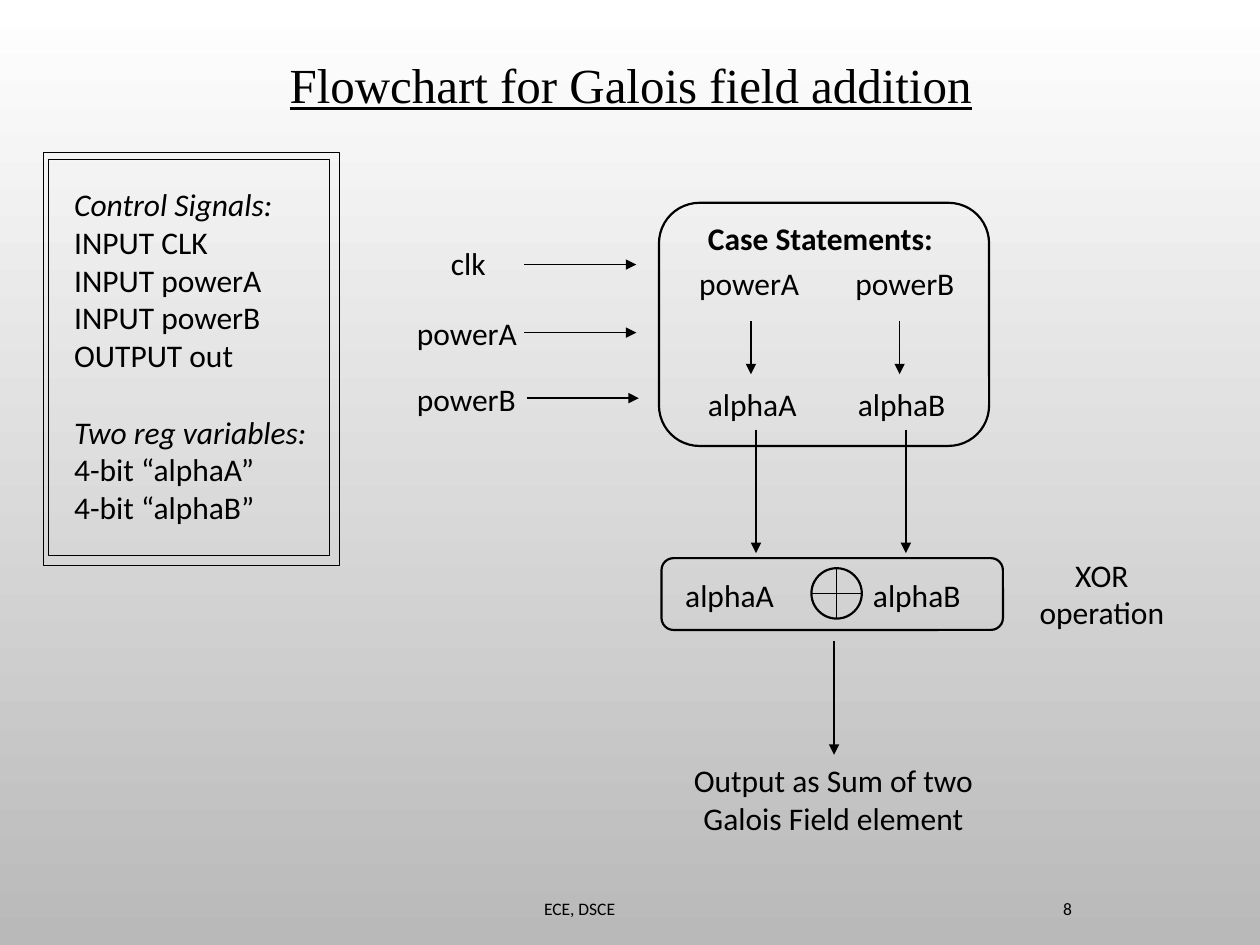
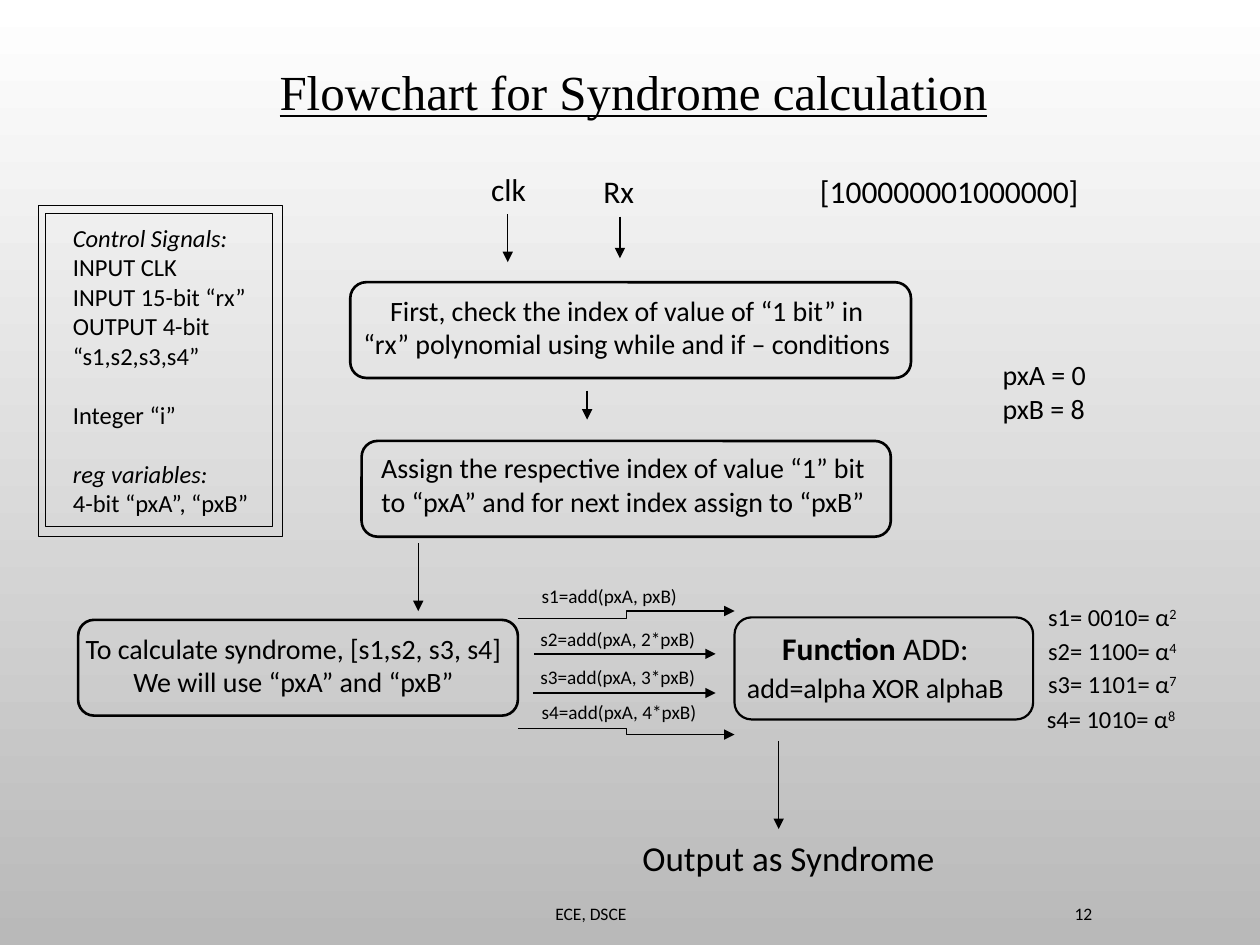
from lxml.etree import SubElement
from pptx import Presentation
from pptx.dml.color import RGBColor
from pptx.enum.shapes import MSO_CONNECTOR as Connector, MSO_SHAPE as Shape
from pptx.enum.text import MSO_ANCHOR as Anchor, MSO_AUTO_SIZE as AutoSize, PP_ALIGN as Align
from pptx.oxml.ns import qn
from pptx.util import Inches, Pt

COLORS = {"ink": "000000", "top": "FFFFFF", "bottom": "B9B9B9"}
BODY_FONT, TITLE_FONT = "Calibri", "Times New Roman"
LINE_HEIGHT = 1.22


def color(name):
    return RGBColor.from_string(COLORS[name])


class FlowchartDeck:
    """Holds the shared style and the slide being drawn."""

    def __init__(self):
        self.presentation = Presentation()
        self.presentation.slide_width = Inches(10)
        self.presentation.slide_height = Inches(7.5)
        self.slide = None

    def new_slide(self, title, title_box, number, footer_left, footer_top):
        self.slide = self.presentation.slides.add_slide(self.presentation.slide_layouts[6])
        fill = self.slide.background.fill
        fill.gradient()
        fill.gradient_angle = 270
        for stop, name, position in zip(fill.gradient_stops, ("top", "bottom"), (0, 1)):
            stop.color.rgb = color(name)
            stop.position = position
        heading, = self.text([title], *title_box, size=28, font=TITLE_FONT)
        heading.font.underline = True
        for footer, offset, width in (("ECE, DSCE", 0, 1.2), (str(number), 4.12, 0.5)):
            self.text([footer], footer_left + offset, footer_top, width, 0.4, size=10,
                      wrap=True, anchor=Anchor.MIDDLE)

    def text(self, lines, left, top, width, height=0.4, size=18, font=BODY_FONT,
             align=Align.LEFT, wrap=False, anchor=Anchor.TOP):
        box = self.slide.shapes.add_textbox(Inches(left), Inches(top), Inches(width), Inches(height))
        frame = box.text_frame
        frame.word_wrap = wrap
        frame.vertical_anchor = anchor
        frame.auto_size = AutoSize.NONE if anchor == Anchor.MIDDLE else AutoSize.SHAPE_TO_FIT_TEXT
        frame.text = "\n".join(lines)
        for paragraph in frame.paragraphs:
            paragraph.alignment = align
            paragraph.font.size = Pt(size)
            paragraph.font.name = font
            paragraph.font.color.rgb = color("ink")
        return frame.paragraphs

    def outline(self, kind, left, top, width, height, weight=1.25):
        shape = self.slide.shapes.add_shape(
            kind, Inches(left), Inches(top), Inches(width), Inches(height))
        shape.shadow.inherit = False
        shape.fill.background()
        shape.line.color.rgb = color("ink")
        shape.line.width = Pt(weight)

    def line(self, start, end, kind=Connector.STRAIGHT, arrow=True):
        connector = self.slide.shapes.add_connector(
            kind, *(Inches(value) for value in (*start, *end)))
        connector.line.color.rgb = color("ink")
        connector.line.width = Pt(0.75)
        if arrow:
            SubElement(connector.line._get_or_add_ln(), qn("a:tailEnd"), type="triangle")
        SubElement(connector._element.spPr, qn("a:effectLst"))

    def panel(self, outer, inner, text_box, size, groups):
        """Double frame with groups of lines, a line's height apart."""
        for frame in (outer, inner):
            self.outline(Shape.RECTANGLE, *frame, weight=0.25)
        lines = [line for group in groups for line in group]
        starts = [group[0] for group in groups[1:]]
        for paragraph in self.text(lines, *text_box, size=size, wrap=True):
            paragraph.font.italic = paragraph.text.endswith(":")
            if paragraph.text in starts:
                paragraph.space_before = Pt(round(size * LINE_HEIGHT))

    def power_of_alpha(self, label, exponent, left, top):
        paragraph, = self.text([label], left, top, 1.64, 0.34, size=14, wrap=True)
        run = paragraph.add_run()
        run.text = exponent
        run._r.get_or_add_rPr().set("baseline", "30000")


def galois_addition(deck):
    deck.new_slide("Flowchart for Galois field addition", (2.2, 0.38, 5.67, 0.57), 8, 4.22, 7.01)
    deck.panel((0.34, 1.21, 2.35, 3.28), (0.38, 1.26, 2.23, 3.15), (0.49, 1.42, 2.12, 2.83), 18, [
        ["Control Signals:", "INPUT CLK", "INPUT powerA", "INPUT powerB", "OUTPUT out"],
        ["Two reg variables:", "4-bit “alphaA”", "4-bit “alphaB”"]])

    # Inputs
    for label, left, top, width, start, y in (
            ("clk", 3.48, 1.89, 0.5, 4.16, 2.1),
            ("powerA", 3.21, 2.44, 1.05, 4.16, 2.64),
            ("powerB", 3.21, 2.97, 1.05, 4.18, 3.16)):
        deck.text([label], left, top, width)
        deck.line((start, y), (start + 0.89, y))

    # Case statements, one column per operand
    deck.outline(Shape.ROUNDED_RECTANGLE, 5.23, 1.61, 2.62, 1.93)
    heading, = deck.text(["Case Statements:"], 5.52, 1.69, 2.05)
    heading.font.bold = True
    for operand, power_left, alpha_left, inner_x, outer_x, xor_left in (
            ("A", 5.45, 5.52, 5.96, 6, 5.34), ("B", 6.69, 6.71, 7.14, 7.19, 6.83)):
        deck.text(["power" + operand], power_left, 2.05, 1.05)
        deck.line((inner_x, 2.55), (inner_x, 2.97))
        deck.text(["alpha" + operand], alpha_left, 3.01, 1)
        deck.line((outer_x, 3.41), (outer_x, 4.39))
        deck.text(["alpha" + operand], xor_left, 4.52, 1)

    # XOR operation
    deck.outline(Shape.ROUNDED_RECTANGLE, 5.25, 4.43, 2.71, 0.57)
    deck.outline(Shape.OVAL, 6.44, 4.51, 0.4, 0.4)
    deck.line((6.64, 4.51), (6.64, 4.91), arrow=False)
    deck.line((6.44, 4.71), (6.84, 4.71), arrow=False)
    deck.text(["XOR operation"], 8.12, 4.36, 1.25, 0.71, align=Align.CENTER, wrap=True)

    # Result
    deck.line((6.62, 5.09), (6.62, 5.99))
    deck.text(["Output as Sum of two", "Galois Field element"], 5.35, 5.99, 2.53, 0.71,
              align=Align.CENTER)


def syndrome_calculation(deck):
    deck.new_slide("Flowchart for Syndrome calculation", (2.12, 0.44, 5.99, 0.57), 12, 4.31, 7.05)
    deck.panel((0.3, 1.63, 1.94, 2.63), (0.36, 1.69, 1.8, 2.49), (0.48, 1.72, 2.12, 2.46), 14, [
        ["Control Signals:", "INPUT CLK", "INPUT 15-bit “rx”", "OUTPUT 4-bit “s1,s2,s3,s4”"],
        ["Integer “i”"],
        ["reg variables:", "4-bit “pxA”, “pxB”"]])

    # Inputs
    deck.text(["clk"], 3.8, 1.3, 0.5)
    deck.text(["Rx"], 4.69, 1.32, 0.5, wrap=True)
    deck.text(["[100000001000000]"], 6.23, 1.32, 2.61, align=Align.CENTER, wrap=True)
    deck.line((4.03, 1.7), (4.03, 2.08))
    deck.line((4.92, 1.72), (4.92, 2.05))

    # Steps: box, then its text
    for box_left, box_top, box_width, lines, left, top, width in (
            (2.78, 2.24, 4.45, ["First, check the index of value of “1 bit” in",
                                "“rx” polynomial using while and if – conditions"],
             2.68, 2.28, 4.59),
            (2.87, 3.5, 4.2, ["Assign the respective index of value “1” bit",
                              "to “pxA” and for next index assign to “pxB”"],
             2.8, 3.53, 4.29),
            (0.62, 4.92, 3.49, ["To calculate syndrome, [s1,s2, s3, s4]",
                                "We will use “pxA” and “pxB”"],
             0.53, 4.96, 3.6)):
        deck.outline(Shape.ROUNDED_RECTANGLE, box_left, box_top, box_width, 0.76, weight=1.5)
        deck.text(lines, left, top, width, 0.64, size=16, align=Align.CENTER)
    deck.line((4.66, 3.1), (4.66, 3.33))
    deck.line((3.32, 4.31), (3.32, 4.85))
    deck.text(["pxA = 0", "pxB = 8"], 7.86, 2.79, 0.9, 0.64, size=16)

    # Calls to the add function
    for label, left, top, width, wrap in (
            ("s1=add(pxA, pxB)", 4.2, 4.59, 1.64, True),
            ("s2=add(pxA, 2*pxB)", 4.19, 4.93, 1.5, False),
            ("s3=add(pxA, 3*pxB)", 4.19, 5.23, 1.5, False),
            ("s4=add(pxA, 4*pxB)", 4.2, 5.51, 2.2, True)):
        deck.text([label], left, top, width, 0.29, size=11, wrap=wrap)
    deck.line((4.11, 4.91), (5.83, 4.85), Connector.ELBOW)
    deck.line((4.24, 5.19), (5.68, 5.19))
    deck.line((4.23, 5.5), (5.68, 5.5))
    deck.line((4.11, 5.78), (5.83, 5.83), Connector.ELBOW)

    # Add function
    deck.outline(Shape.ROUNDED_RECTANGLE, 5.83, 4.9, 2.37, 0.81)
    heading, = deck.text(["Function"], 6.11, 4.94, 1.68)
    heading.runs[0].font.bold = True
    heading.add_run().text = " ADD:"
    deck.text(["add=alpha XOR alphaB"], 5.83, 5.27, 2.3, 0.37, size=16)

    # Results
    for label, exponent, left, top in (
            ("s1= 0010= α", "2", 8.22, 4.73), ("s2= 1100= α", "4", 8.22, 5),
            ("s3= 1101= α", "7", 8.22, 5.26), ("s4= 1010= α", "8", 8.21, 5.54)):
        deck.power_of_alpha(label, exponent, left, top)
    deck.line((6.18, 5.88), (6.18, 6.58))
    deck.text(["Output as Syndrome"], 5, 6.59, 2.6, 0.44, size=20)


def main():
    deck = FlowchartDeck()
    galois_addition(deck)
    syndrome_calculation(deck)
    deck.presentation.save("out.pptx")


if __name__ == "__main__":
    main()
